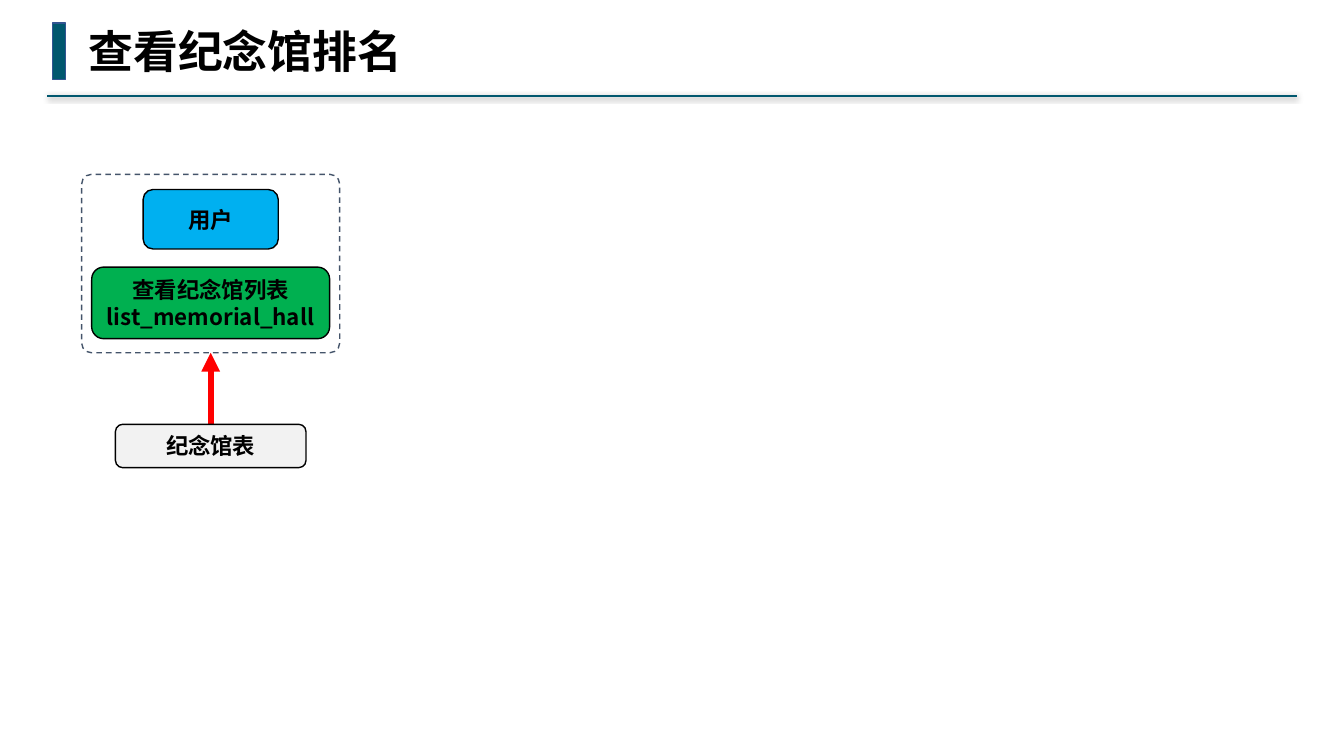
from lxml import etree
from pptx import Presentation
from pptx.dml.color import RGBColor
from pptx.enum.dml import MSO_LINE
from pptx.enum.shapes import MSO_CONNECTOR, MSO_SHAPE
from pptx.enum.text import MSO_ANCHOR, MSO_AUTO_SIZE, PP_ALIGN
from pptx.oxml.ns import qn
from pptx.util import Inches, Pt

RECT, ROUNDED = MSO_SHAPE.RECTANGLE, MSO_SHAPE.ROUNDED_RECTANGLE
STRAIGHT = MSO_CONNECTOR.STRAIGHT
DASH = MSO_LINE.DASH
MIDDLE, CENTER = MSO_ANCHOR.MIDDLE, PP_ALIGN.CENTER
FIT_SHAPE = MSO_AUTO_SIZE.SHAPE_TO_FIT_TEXT

COLORS = {
    "teal": "00576E", "navy": "325491", "slate": "44546A", "black": "000000",
    "blue": "00B0F0", "green": "00B050", "red": "FF0000", "gray": "F2F2F2",
}
COLORS = {name: RGBColor.from_string(value) for name, value in COLORS.items()}
CJK_FONT = "Noto Sans CJK SC"


def set_font(paragraph, name, size):
    font = paragraph.font
    font.name, font.size, font.bold = name, Pt(size), True
    font.color.rgb = COLORS["black"]
    defaults = paragraph._p.pPr.find(qn("a:defRPr"))
    defaults.find(qn("a:latin")).addnext(
        defaults.makeelement(qn("a:ea"), {"typeface": CJK_FONT}))


def add_line(start, end, color, width):
    line = slide.shapes.add_connector(STRAIGHT, *map(Inches, start + end))
    line.line.color.rgb = COLORS[color]
    line.line.width = Pt(width)
    effects = etree.SubElement(line._element.spPr, qn("a:effectLst"))
    return line, effects


prs = Presentation()
prs.slide_width, prs.slide_height = Inches(13.33), Inches(7.5)
slide = prs.slides.add_slide(prs.slide_layouts[6])

# Header rule with a soft shadow below
rule, effects = add_line((0.47, 0.95), (12.86, 0.95), "teal", 1.5)
shadow = etree.SubElement(effects, qn("a:outerShdw"), blurRad=str(Pt(4)),
                          dist=str(Pt(1)), dir="5400000", algn="t", rotWithShape="0")
shadow_color = etree.SubElement(shadow, qn("a:srgbClr"), val="000000")
etree.SubElement(shadow_color, qn("a:alpha"), val="40000")

# Header bar and title
bar = slide.shapes.add_shape(RECT, Inches(0.52), Inches(0.23), Inches(0.13), Inches(0.56))
bar.shadow.inherit = False
bar.fill.solid()
bar.fill.fore_color.rgb = COLORS["teal"]
bar.line.color.rgb = COLORS["navy"]
bar.line.width = Pt(1)

title = slide.shapes.add_textbox(Inches(0.78), Inches(0.19), Inches(3.34), Inches(0.64))
title.text_frame.word_wrap = False
title.text_frame.auto_size = FIT_SHAPE
title.text_frame.text = "查看纪念馆排名"
set_font(title.text_frame.paragraphs[0], "DejaVu Sans Mono", 32)

# Dashed frame around the user and the operation
axis = 2.09
frame_top, frame_width, frame_height = 1.73, 2.56, 1.77
frame = slide.shapes.add_shape(ROUNDED, Inches(axis - frame_width / 2), Inches(frame_top),
                               Inches(frame_width), Inches(frame_height))
frame.shadow.inherit = False
frame.adjustments[0] = 0.055
frame.fill.background()
frame.line.color.rgb = COLORS["slate"]
frame.line.width = Pt(1)
frame.line.dash_style = DASH

# Arrow from the table up to the frame
table_top = 4.21
arrow, effects = add_line((axis, table_top), (axis, frame_top + frame_height), "red", 4.5)
etree.SubElement(arrow.line._get_or_add_ln(), qn("a:tailEnd"), type="triangle")

# Boxes centred on the axis: top, width, height, fill, lines of text
boxes = [
    (1.88, 1.34, 0.59, "blue", ["用户"]),
    (2.65, 2.36, 0.71, "green", ["查看纪念馆列表", "list_memorial_hall"]),
    (table_top, 1.89, 0.43, "gray", ["纪念馆表"]),
]
for top, width, height, fill, lines in boxes:
    box = slide.shapes.add_shape(ROUNDED, Inches(axis - width / 2), Inches(top),
                                 Inches(width), Inches(height))
    box.shadow.inherit = False
    box.fill.solid()
    box.fill.fore_color.rgb = COLORS[fill]
    box.line.color.rgb = COLORS["black"]
    box.line.width = Pt(1)
    label = box.text_frame
    label.word_wrap = False
    label.vertical_anchor = MIDDLE
    label.margin_left = label.margin_right = Inches(0.04)
    label.margin_top = label.margin_bottom = Inches(0.04)
    label.text = "\n".join(lines)
    for paragraph in label.paragraphs:
        paragraph.alignment = CENTER
        set_font(paragraph, CJK_FONT, 16)

prs.save("out.pptx")
